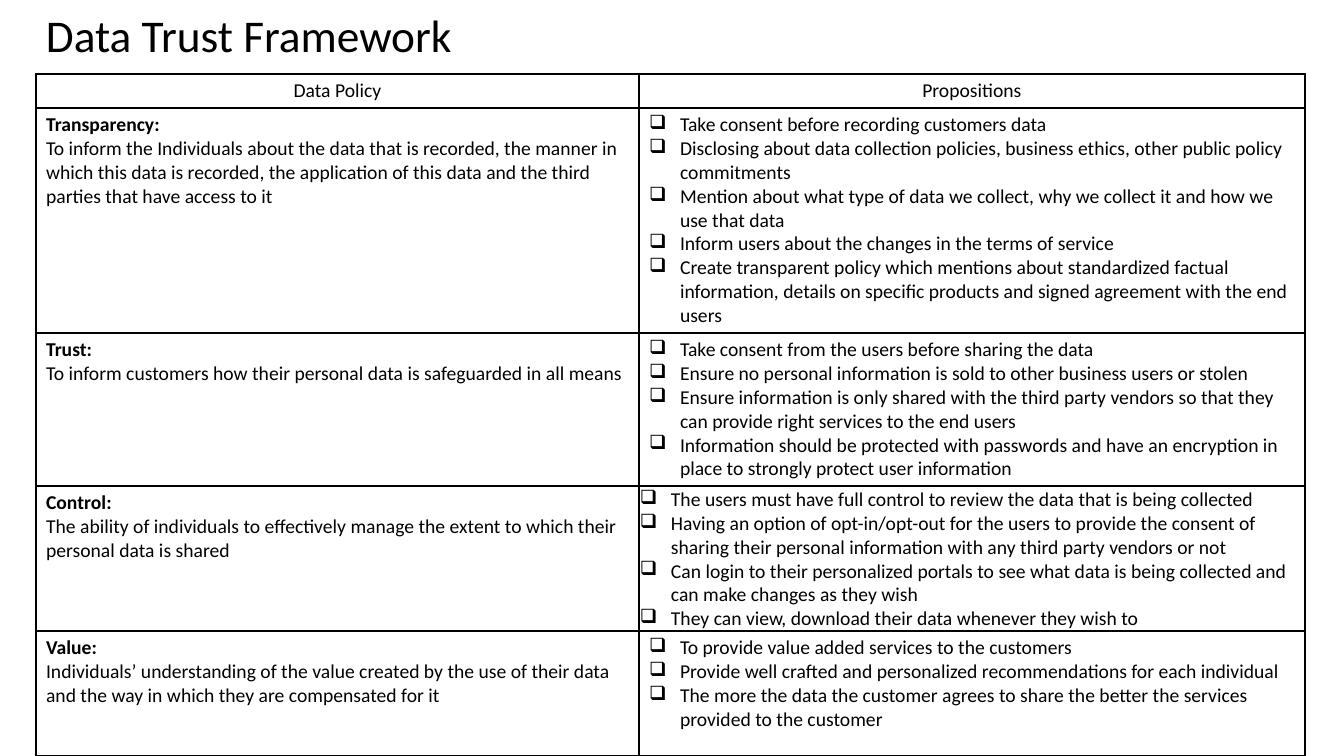
from dataclasses import dataclass

from lxml import etree
from pptx import Presentation
from pptx.dml.color import RGBColor
from pptx.enum.text import MSO_ANCHOR, PP_ALIGN
from pptx.oxml.ns import qn
from pptx.util import Emu, Pt

TOP, MIDDLE, BOTTOM = MSO_ANCHOR.TOP, MSO_ANCHOR.MIDDLE, MSO_ANCHOR.BOTTOM
LEFT, CENTER = PP_ALIGN.LEFT, PP_ALIGN.CENTER
EMU_PER_PX = 914400 / 100.8


def px(length):
    return Emu(round(length * EMU_PER_PX))


@dataclass(frozen=True)
class Theme:
    font: str = "Calibri"
    ink: str = "000000"
    paper: str = "FFFFFF"
    title_size: float = 32.4
    body_size: float = 14
    border_width: float = 1
    bullet: str = "❑"
    bullet_indent: int = 31


HEADERS = ("Data Policy", "Propositions")
COLUMN_WIDTHS = (603, 666)
ROW_HEIGHTS = (34, 225, 153, 145, 125)
TIGHT_ROW = 3  # the propositions on Control sit at the bottom with thin margins

POLICIES = [
    ("Transparency:",
     "To inform the Individuals about the data that is recorded, the manner in which this data "
     "is recorded, the application of this data and the third parties that have access to it",
     ["Take consent before recording customers data",
      "Disclosing about data collection policies, business ethics, other public policy commitments",
      "Mention about what type of data we collect, why we collect it and how we use that data",
      "Inform users about the changes in the terms of service",
      "Create transparent policy which mentions about standardized factual information, details "
      "on specific products and signed agreement with the end users"]),
    ("Trust:",
     "To inform customers how their personal data is safeguarded in all means",
     ["Take consent from the users before sharing the data",
      "Ensure no personal information is sold to other business users or stolen",
      "Ensure information is only shared with the third party vendors so that they can provide "
      "right services to the end users",
      "Information should be protected with passwords and have an encryption in place to "
      "strongly protect user information"]),
    ("Control:",
     "The ability of individuals to effectively manage the extent to which their personal data "
     "is shared",
     ["The users must have full control to review the data that is being collected",
      "Having an option of opt-in/opt-out for the users to provide the consent of sharing their "
      "personal information with any third party vendors or not",
      "Can login to their personalized portals to see what data is being collected and can make "
      "changes as they wish",
      "They can view, download their data whenever they wish to"]),
    ("Value:",
     "Individuals’ understanding of the value created by the use of their data and the way in "
     "which they are compensated for it",
     ["To provide value added services to the customers",
      "Provide well crafted and personalized recommendations for each individual",
      "The more the data the customer agrees to share the better the services provided to the "
      "customer"]),
]


class SlideBuilder:
    def __init__(self, slide, theme):
        self.slide = slide
        self.theme = theme

    def style(self, paragraph, size, bold=False, align=LEFT):
        paragraph.alignment = align
        for run in paragraph.runs:
            run.font.name = self.theme.font
            run.font.size = Pt(size)
            run.font.bold = bold
            run.font.color.rgb = RGBColor.from_string(self.theme.ink)

    def title(self, text, left, top, width, height):
        text_frame = self.slide.shapes.add_textbox(
            px(left), px(top), px(width), px(height)).text_frame
        text_frame.word_wrap = True
        text_frame.vertical_anchor = MIDDLE
        text_frame.text = text
        paragraph = text_frame.paragraphs[0]
        paragraph.line_spacing = 0.9
        self.style(paragraph, self.theme.title_size)

    def table(self, left, top, column_widths, row_heights):
        """Add an empty ruled table and return it."""
        table = self.slide.shapes.add_table(
            len(row_heights), len(column_widths), px(left), px(top),
            px(sum(column_widths)), px(sum(row_heights))).table
        table.first_row = table.horz_banding = False
        for column, width in zip(table.columns, column_widths):
            column.width = px(width)
        for row, height in zip(table.rows, row_heights):
            row.height = px(height)
        for cell in table.iter_cells():
            cell.fill.solid()
            cell.fill.fore_color.rgb = RGBColor.from_string(self.theme.paper)
            self.border(cell)
        return table

    def border(self, cell):
        properties = cell._tc.get_or_add_tcPr()
        for position, side in enumerate(("lnL", "lnR", "lnT", "lnB")):
            line = etree.Element(qn(f"a:{side}"), w=str(Pt(self.theme.border_width)))
            fill = etree.SubElement(line, qn("a:solidFill"))
            etree.SubElement(fill, qn("a:srgbClr"), val=self.theme.ink)
            properties.insert(position, line)

    def cell_text(self, cell, lines, align=LEFT, bold_first=False, bulleted=False):
        cell.vertical_anchor = TOP
        cell.text_frame.text = "\n".join(lines)
        for index, paragraph in enumerate(cell.text_frame.paragraphs):
            if bulleted:
                self.bullet(paragraph)
            self.style(paragraph, self.theme.body_size, bold_first and index == 0, align)

    def bullet(self, paragraph):
        properties = paragraph._p.get_or_add_pPr()
        indent = px(self.theme.bullet_indent)
        properties.set("marL", str(indent))
        properties.set("indent", str(-indent))
        etree.SubElement(properties, qn("a:buChar"), char=self.theme.bullet)

    def tighten(self, cell):
        cell.vertical_anchor = BOTTOM
        cell.margin_left = cell.margin_right = cell.margin_top = px(1)
        cell.margin_bottom = 0


def main():
    presentation = Presentation()
    presentation.slide_width, presentation.slide_height = px(1344), px(756)
    slide = presentation.slides.add_slide(presentation.slide_layouts[6])
    builder = SlideBuilder(slide, Theme())

    builder.title("Data Trust Framework", 36, 18, 1015, 39)
    table = builder.table(36, 74, COLUMN_WIDTHS, ROW_HEIGHTS)
    for column, header in enumerate(HEADERS):
        builder.cell_text(table.cell(0, column), [header], align=CENTER)
    for row, (name, aim, propositions) in enumerate(POLICIES, start=1):
        builder.cell_text(table.cell(row, 0), [name, aim], bold_first=True)
        builder.cell_text(table.cell(row, 1), propositions, bulleted=True)
    builder.tighten(table.cell(TIGHT_ROW, 1))

    presentation.save("out.pptx")


if __name__ == "__main__":
    main()
